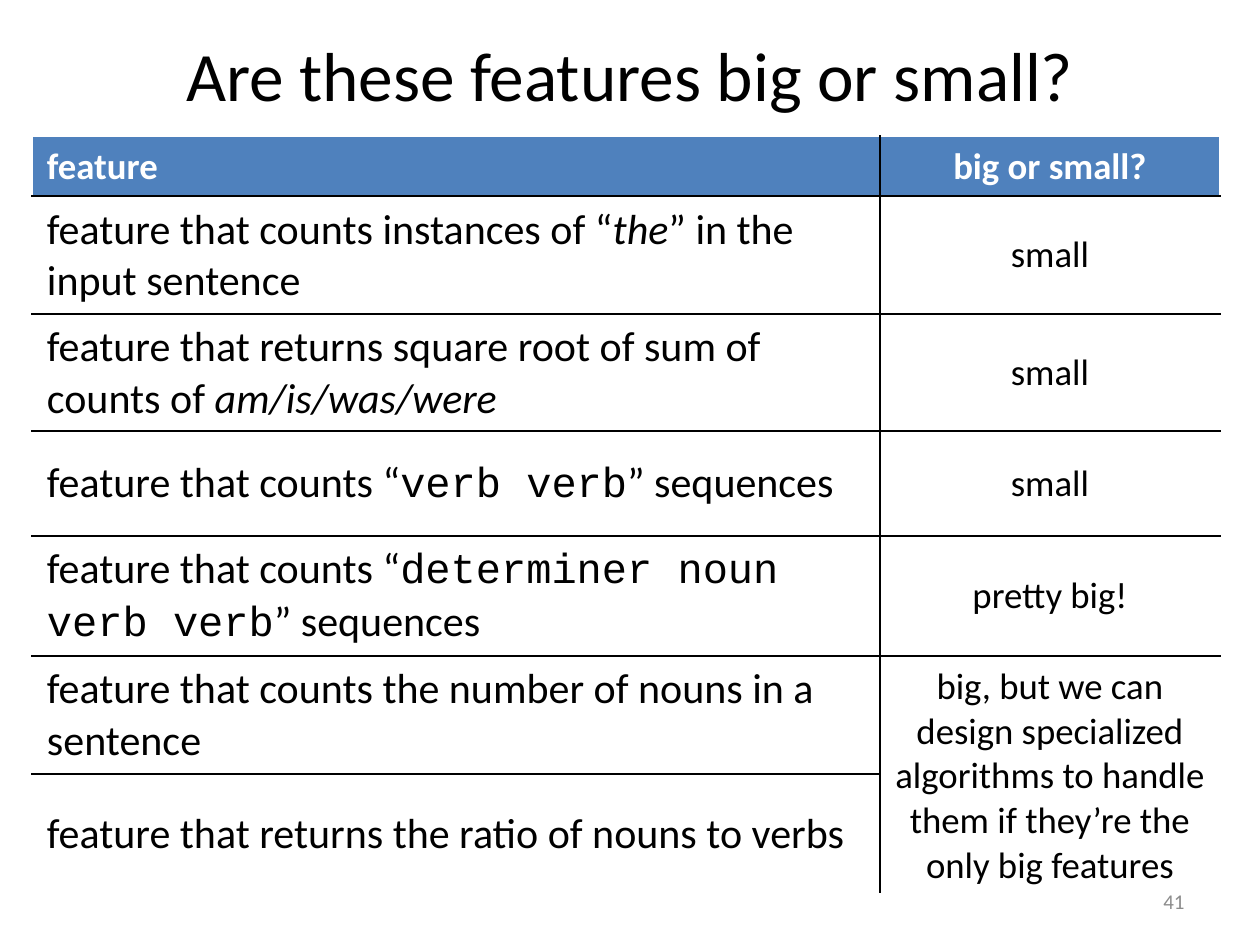
"""Build the slide that sorts features into big and small ones."""
from typing import NamedTuple

from lxml.etree import SubElement
from pptx import Presentation
from pptx.dml.color import RGBColor
from pptx.enum.text import MSO_ANCHOR as Anchor, MSO_AUTO_SIZE as AutoSize, PP_ALIGN as Align
from pptx.oxml.ns import qn
from pptx.util import Pt

EMU_PER_PX = 914400 / 126
BLACK = RGBColor(0x00, 0x00, 0x00)
WHITE = RGBColor(0xFF, 0xFF, 0xFF)
BLUE = RGBColor(0x4F, 0x81, 0xBD)
GRAY = RGBColor(0x8C, 0x8C, 0x8C)
BODY_FONT = "Calibri"
CODE_FONT = "Courier New"
COLUMN_WIDTHS = (848, 340)
ROW_HEIGHTS = (60, 118, 117, 105, 120, 118, 120)


class Feature(NamedTuple):
    """A feature description with one optional highlighted phrase, and its verdict."""
    before: str
    verdict: str
    phrase: str = ""
    after: str = ""
    code: bool = False


FEATURES = (
    Feature("feature that counts instances of “", "small", "the", "” in the input sentence"),
    Feature("feature that returns square root of sum of counts of ", "small", "am/is/was/were"),
    Feature("feature that counts “", "small", "verb verb", "” sequences", code=True),
    Feature("feature that counts “", "pretty big!", "determiner noun verb verb",
            "” sequences", code=True),
    Feature("feature that counts the number of nouns in a sentence",
            "big, but we can design specialized algorithms to handle them "
            "if they’re the only big features"),
    Feature("feature that returns the ratio of nouns to verbs", ""),
)


def px(length: int) -> int:
    """Turn pixels into EMU."""
    return round(length * EMU_PER_PX)


def place(shape, left: int, top: int, width: int, height: int) -> None:
    """Move and size a shape."""
    shape.left, shape.top, shape.width, shape.height = map(px, (left, top, width, height))


def write(frame, text: str, *, size: float, color: RGBColor = BLACK, align=Align.LEFT,
          font: str = BODY_FONT, bold: bool = False, italic: bool = False) -> None:
    """Add a formatted run to the first paragraph of a text frame."""
    if not text:
        return
    paragraph = frame.paragraphs[0]
    paragraph.alignment = align
    run = paragraph.add_run()
    run.text = text
    run.font.name, run.font.size = font, Pt(size)
    run.font.bold, run.font.italic = bold, italic
    run.font.color.rgb = color


def style_cell(cell, fill: RGBColor, borders: dict[str, RGBColor]) -> None:
    """Give a cell its margins, borders and fill."""
    cell.vertical_anchor = Anchor.MIDDLE
    cell.margin_left = cell.margin_right = px(15)
    cell.margin_top = cell.margin_bottom = px(8)
    properties = cell._tc.get_or_add_tcPr()
    for side, color in borders.items():
        line = SubElement(properties, qn(f"a:ln{side}"), w=str(Pt(1)))
        SubElement(SubElement(line, qn("a:solidFill")), qn("a:srgbClr"), val=str(color))
    cell.fill.solid()
    cell.fill.fore_color.rgb = fill


def draw_features(slide) -> None:
    """Draw the feature table with inner rules only."""
    last_row = len(ROW_HEIGHTS) - 1
    table = slide.shapes.add_table(
        len(ROW_HEIGHTS), len(COLUMN_WIDTHS), px(32), px(136),
        px(sum(COLUMN_WIDTHS)), px(sum(ROW_HEIGHTS))).table
    table.horz_banding = False
    for column, width in zip(table.columns, COLUMN_WIDTHS):
        column.width = px(width)
    for row, height in zip(table.rows, ROW_HEIGHTS):
        row.height = px(height)
    merged_row = last_row - 1
    table.cell(merged_row, 1).merge(table.cell(last_row, 1))

    for row in range(last_row + 1):
        for column in range(2):
            ends = row == last_row or (row, column) == (merged_row, 1)
            style_cell(table.cell(row, column), WHITE if row else BLUE, {
                "L": BLACK if column else WHITE,
                "R": WHITE if column else BLACK,
                "T": BLACK if row else WHITE,
                "B": WHITE if ends else BLACK,
            })

    for column, (heading, align) in enumerate(
            (("feature", Align.LEFT), ("big or small?", Align.CENTER))):
        write(table.cell(0, column).text_frame, heading, size=21, color=WHITE,
              align=align, bold=True)
    for row, feature in enumerate(FEATURES, start=1):
        description = table.cell(row, 0).text_frame
        write(description, feature.before, size=24)
        write(description, feature.phrase, size=24, italic=not feature.code,
              font=CODE_FONT if feature.code else BODY_FONT)
        write(description, feature.after, size=24)
        write(table.cell(row, 1).text_frame, feature.verdict, size=21, align=Align.CENTER)


def main() -> None:
    """Build and save the slide."""
    deck = Presentation()
    deck.slide_width, deck.slide_height = px(1260), px(945)
    slide = deck.slides.add_slide(deck.slide_layouts[5])

    title = slide.shapes.title
    place(title, 63, 24, 1134, 100)
    title.text_frame.auto_size = AutoSize.NONE
    title.text_frame.vertical_anchor = Anchor.MIDDLE
    write(title.text_frame, "Are these features big or small?", size=39.6, align=Align.CENTER)

    page_number = slide.shapes.add_textbox(0, 0, 0, 0)
    place(page_number, 903, 876, 294, 50)
    page_number.text_frame.word_wrap = True
    page_number.text_frame.vertical_anchor = Anchor.MIDDLE
    write(page_number.text_frame, "41", size=12, color=GRAY, align=Align.RIGHT)

    draw_features(slide)
    deck.save("out.pptx")


if __name__ == "__main__":
    main()
